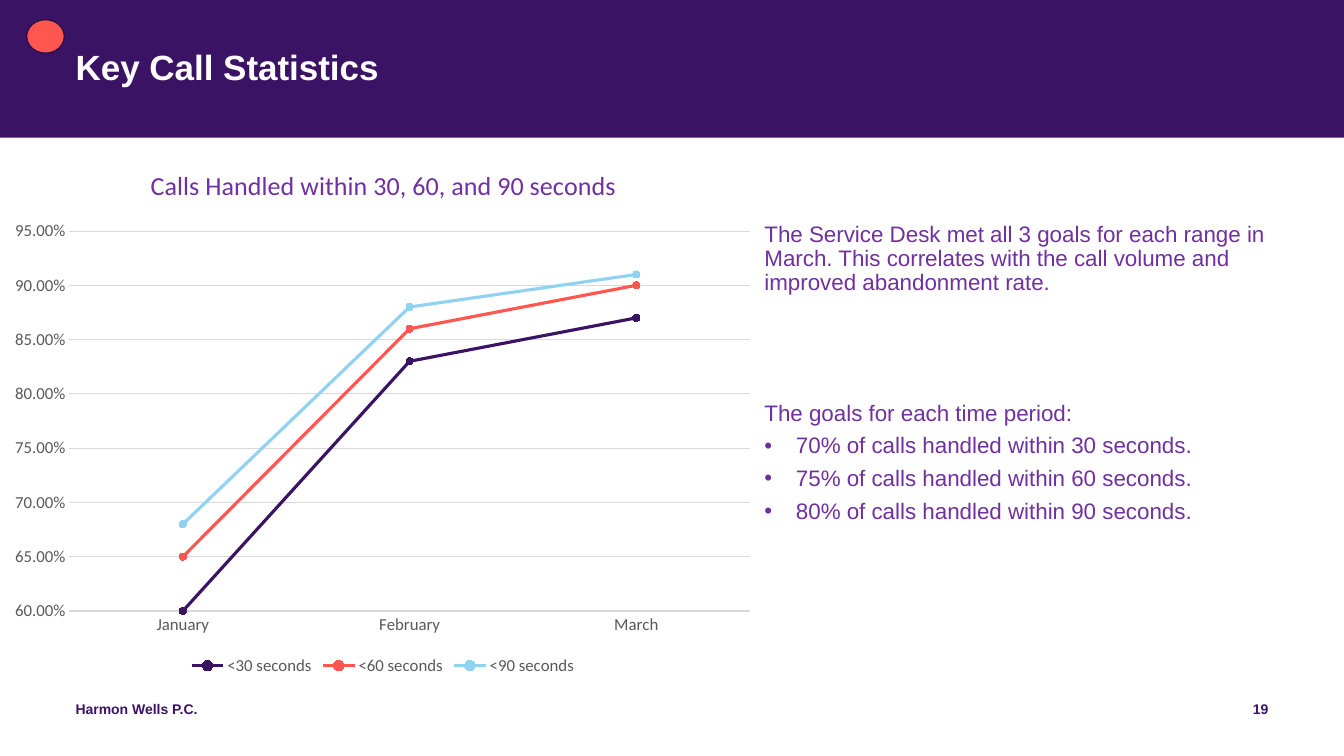
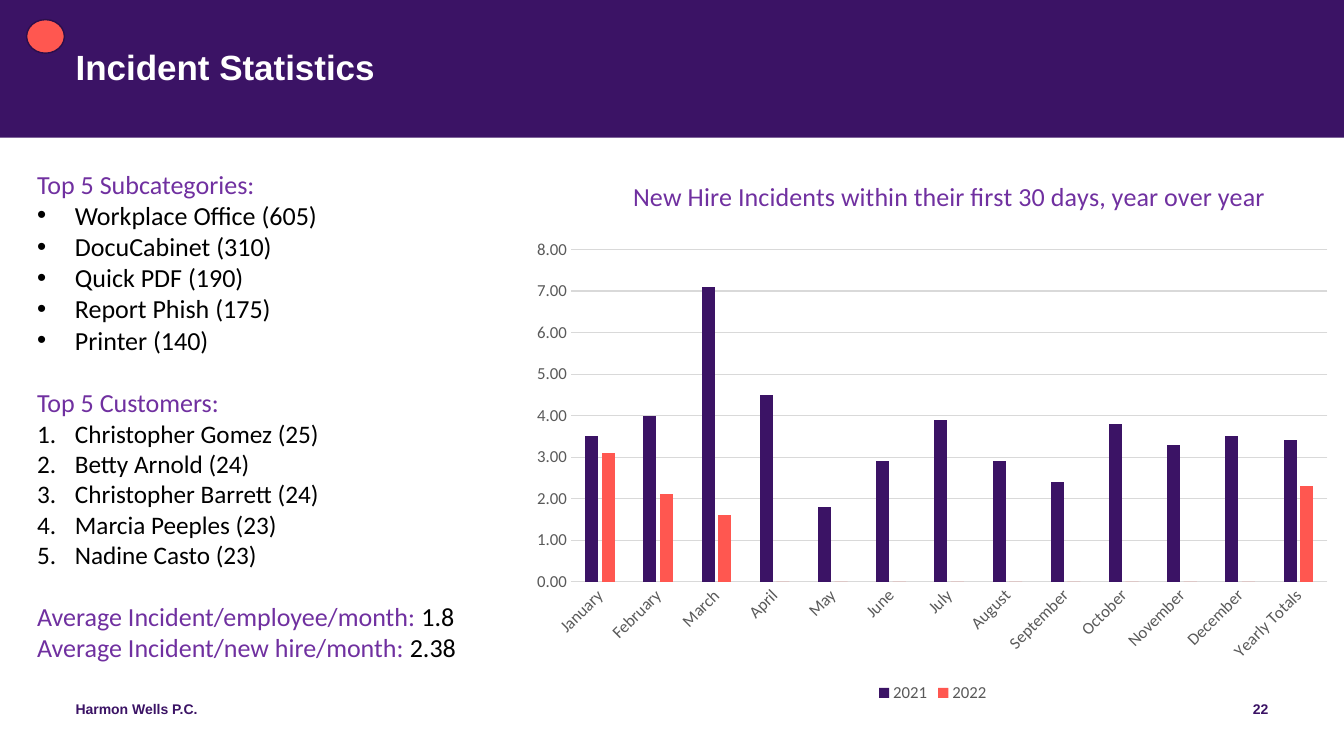
from pptx import Presentation
from pptx.chart.data import CategoryChartData
from pptx.dml.color import RGBColor
from pptx.enum.chart import (XL_CHART_TYPE, XL_LEGEND_POSITION, XL_MARKER_STYLE,
                             XL_TICK_MARK)
from pptx.enum.shapes import MSO_SHAPE
from pptx.enum.text import MSO_ANCHOR, MSO_AUTO_SIZE, PP_ALIGN
from pptx.oxml.ns import qn
from pptx.util import Pt
from lxml.etree import SubElement

# Shared colours
PURPLE = RGBColor(0x3B, 0x13, 0x65)
DARK_PURPLE = RGBColor(0x2C, 0x0E, 0x4B)
VIOLET = RGBColor(0x70, 0x30, 0xA0)
CORAL = RGBColor(0xFF, 0x57, 0x50)
SKY = RGBColor(0x91, 0xD2, 0xF2)
GREY = RGBColor(0x59, 0x59, 0x59)
GRID = RGBColor(0xD9, 0xD9, 0xD9)
WHITE = RGBColor(0xFF, 0xFF, 0xFF)
BLACK = RGBColor(0, 0, 0)

# Shared formats and places, in points
WIDTH, HEIGHT = 960, 540
MARGIN = 54
FIRM = "Harmon Wells P.C."
TITLE_FONT = {"name": "Arial", "size": Pt(25), "bold": True, "color": WHITE}
FOOTER_FONT = {"name": "Arial", "size": Pt(10), "bold": True, "color": PURPLE}
AXIS_FONT = {"name": "Calibri", "size": Pt(12), "bold": False, "color": GREY}
CHART_TITLE_FONT = {"name": "Calibri", "size": Pt(18.6), "bold": False, "color": VIOLET}
BARE_FRAME = {"margin_left": 0, "margin_top": 0, "margin_right": 0, "margin_bottom": 0,
              "word_wrap": True, "auto_size": MSO_AUTO_SIZE.NONE,
              "vertical_anchor": MSO_ANCHOR.TOP}


def apply(target, formats):
    for name, value in formats.items():
        if name == "color":
            target.color.rgb = value
        else:
            setattr(target, name, value)


def in_points(box):
    return [Pt(length) for length in box]


def move(shape, box):
    apply(shape, dict(zip(("left", "top", "width", "height"), in_points(box))))


def add_span(para, text, font):
    span = para.add_run()
    span.text = text
    apply(span.font, font)


def add_solid(page, preset, box, fill):
    shape = page.shapes.add_shape(preset, *in_points(box))
    shape.shadow.inherit = False
    shape.fill.solid()
    shape.fill.fore_color.rgb = fill
    shape.line.fill.background()
    return shape


def add_header(page, box, title):
    """Place the band behind everything, with the title and dot on it."""
    left, top, width, height = box
    band = add_solid(page, MSO_SHAPE.RECTANGLE, box, PURPLE)
    page.shapes.element.insert(2, band.element)
    heading = page.shapes.title
    move(heading, (left + MARGIN, top + 36, width - 2 * MARGIN, height - 40))
    apply(heading.text_frame, BARE_FRAME)
    para = heading.text_frame.paragraphs[0]
    apply(para, {"alignment": PP_ALIGN.LEFT, "line_spacing": 0.9})
    add_span(para, title, TITLE_FONT)
    dot = add_solid(page, MSO_SHAPE.OVAL, (left + 19, top + 14, 27, 24), CORAL)
    apply(dot.line, {"color": DARK_PURPLE, "width": Pt(1)})


def add_footer(page, box, number):
    left, top, width, height = box
    parts = ((FIRM, left, 324, PP_ALIGN.LEFT),
             (number, left + width - 216, 216, PP_ALIGN.RIGHT))
    for text, part_left, part_width, align in parts:
        label = page.shapes.add_textbox(*in_points((part_left, top, part_width, height)))
        apply(label.text_frame, BARE_FRAME)
        para = label.text_frame.paragraphs[0]
        para.alignment = align
        add_span(para, text, FOOTER_FONT)


def add_page(deck, title, number):
    """Start a slide with its header and footer."""
    page = deck.slides.add_slide(deck.slide_layouts[1])
    add_header(page, (0, 0, WIDTH, 98.4), title)
    add_footer(page, (MARGIN, 500.5, WIDTH - 2 * MARGIN, 29), number)
    return page


def set_marker(para, kind, indent):
    """Give the paragraph a bullet, a number or neither."""
    properties = para._p.get_or_add_pPr()
    indent = 0 if kind == "plain" else Pt(indent)
    properties.set("marL", str(indent))
    properties.set("indent", str(-indent))
    if kind == "bullet":
        SubElement(properties, qn("a:buFont"), typeface="Arial")
        SubElement(properties, qn("a:buChar"), char="•")
    elif kind == "number":
        SubElement(properties, qn("a:buAutoNum"), type="arabicPeriod")
    else:
        SubElement(properties, qn("a:buNone"))


def add_list(page, box, items, font, spacing, indent):
    """Fill the body with (kind, gap before, [(text, font changes)]) items."""
    body = page.placeholders[1]
    move(body, box)
    frame = body.text_frame
    apply(frame, BARE_FRAME)
    for index, (kind, gap, spans) in enumerate(items):
        para = frame.add_paragraph() if index else frame.paragraphs[0]
        apply(para, {"alignment": PP_ALIGN.LEFT, "space_before": Pt(gap), **spacing})
        set_marker(para, kind, indent)
        for text, changes in spans:
            add_span(para, text, {**font, **changes})


def set_layout(parent, index, target=None, **fractions):
    """Fix a chart part at fractions of the chart area."""
    for old in parent.findall(qn("c:layout")):
        parent.remove(old)
    layout = SubElement(parent, qn("c:layout"))
    parent.insert(index, layout)
    manual = SubElement(layout, qn("c:manualLayout"))
    if target:
        SubElement(manual, qn("c:layoutTarget"), val=target)
    for side in ("x", "y"):
        SubElement(manual, qn(f"c:{side}Mode"), val="edge")
    for name, value in fractions.items():
        SubElement(manual, qn(f"c:{name}"), val=str(value))


def add_statistics_chart(page, box, kind, title, categories, series, scale,
                         number_format, title_place, plot_place):
    data = CategoryChartData(number_format=number_format)
    data.categories = categories
    for name, values in series:
        data.add_series(name, values)
    chart = page.shapes.add_chart(kind, *in_points(box), data).chart
    apply(chart.font, AXIS_FONT)

    # Title and plot area
    frame = chart.chart_title.text_frame
    add_span(frame.paragraphs[0], title, CHART_TITLE_FONT)
    set_layout(chart.chart_title.element, 1, **title_place)
    set_layout(chart.element.xpath("c:chart/c:plotArea")[0], 0, "inner", **plot_place)

    # Legend
    chart.has_legend = True
    apply(chart.legend, {"position": XL_LEGEND_POSITION.BOTTOM, "include_in_layout": False})
    apply(chart.legend.font, AXIS_FONT)

    # Axes
    for axis in (chart.category_axis, chart.value_axis):
        apply(axis, {"major_tick_mark": XL_TICK_MARK.NONE,
                     "minor_tick_mark": XL_TICK_MARK.NONE})
        apply(axis.tick_labels.font, AXIS_FONT)
    thin = {"color": GRID, "width": Pt(0.75)}
    apply(chart.category_axis.format.line, thin)
    axis = chart.value_axis
    axis.format.line.fill.background()
    apply(axis, {"has_major_gridlines": True, **scale})
    apply(axis.major_gridlines.format.line, thin)
    apply(axis.tick_labels, {"number_format": number_format,
                             "number_format_is_linked": False})
    chart.plots[0].vary_by_categories = False
    return chart


def style_lines(chart):
    for series, color in zip(chart.plots[0].series, (PURPLE, CORAL, SKY)):
        series.smooth = False
        apply(series.format.line, {"color": color, "width": Pt(2.25)})
        apply(series.marker, {"style": XL_MARKER_STYLE.CIRCLE, "size": 5})
        series.marker.format.fill.solid()
        series.marker.format.fill.fore_color.rgb = color
        series.marker.format.line.color.rgb = color


def style_columns(chart):
    apply(chart.plots[0], {"gap_width": 219, "overlap": -27})
    for series, color in zip(chart.plots[0].series, (PURPLE, CORAL)):
        series.format.fill.solid()
        series.format.fill.fore_color.rgb = color
    # Slanted month names
    label_body = chart.category_axis._element.xpath("c:txPr/a:bodyPr")[0]
    label_body.set("rot", "-2700000")
    label_body.set("vert", "horz")


def build_call_page(deck):
    page = add_page(deck, "Key Call Statistics", "19")
    goals = [("bullet", 0, [(f"{share}% of calls handled within {limit} seconds.", {})])
             for share, limit in ((70, 30), (75, 60), (80, 90))]
    items = [
        ("plain", 0, [("The Service Desk met all 3 goals for each range in March. This "
                       "correlates with the call volume and improved abandonment rate.", {})]),
        ("plain", 70, [("The goals for each time period:", {})]),
        *goals,
    ]
    add_list(page, (546, 159.4, 360, 326), items,
             {"name": "Arial", "size": Pt(16), "color": VIOLET},
             {"line_spacing": 0.9, "space_after": Pt(6)}, 22.5)
    chart = add_statistics_chart(
        page, (0.5, 108.5, 546, 377), XL_CHART_TYPE.LINE_MARKERS,
        "Calls Handled within 30, 60, and 90 seconds",
        ("January", "February", "March"),
        (("<30 seconds", (0.6, 0.83, 0.87)),
         ("<60 seconds", (0.65, 0.86, 0.9)),
         ("<90 seconds", (0.68, 0.88, 0.91))),
        {"minimum_scale": 0.6, "maximum_scale": 0.95, "major_unit": 0.05}, "0.00%",
        {"x": 0.19, "y": 0.02}, {"x": 0.09, "y": 0.15, "w": 0.89, "h": 0.72})
    style_lines(chart)


def build_incident_page(deck):
    page = add_page(deck, "Incident Statistics", "22")
    heading, entry = {"color": VIOLET}, {"color": BLACK}
    subcategories = (("Workplace Office", 605), ("DocuCabinet", 310), ("Quick PDF", 190),
                     ("Report Phish", 175), ("Printer", 140))
    customers = (("Christopher Gomez", 25), ("Betty Arnold", 24),
                 ("Christopher Barrett", 24), ("Marcia Peeples", 23), ("Nadine Casto", 23))
    averages = (("employee", "1.8", 22), ("new hire", "2.38", 0))
    items = [
        ("plain", 0, [("Top 5 Subcategories:", heading)]),
        *[("bullet", 0, [(f"{name} ({count})", entry)]) for name, count in subcategories],
        ("plain", 22.5, [("Top 5 Customers:", heading)]),
        *[("number", 0, [(f"{name} ({count})", {**entry, "size": Pt(18)})])
          for name, count in customers],
        *[("plain", gap, [(f"Average Incident/{group}/month: ", heading), (value, entry)])
          for group, value, gap in averages],
    ]
    add_list(page, (26.5, 120, 339, 357), items, {"name": "Calibri", "size": Pt(18.6)},
             {"line_spacing": 1.0, "space_after": Pt(0)}, 27)
    chart = add_statistics_chart(
        page, (372.5, 116, 587.5, 389), XL_CHART_TYPE.COLUMN_CLUSTERED,
        "New Hire Incidents within their first 30 days, year over year",
        ("January", "February", "March", "April", "May", "June", "July", "August",
         "September", "October", "November", "December", "Yearly Totals"),
        (("2021", (3.5, 4, 7.1, 4.5, 1.8, 2.9, 3.9, 2.9, 2.4, 3.8, 3.3, 3.5, 3.4)),
         ("2022", (3.1, 2.1, 1.6, *[0] * 9, 2.3))),
        {"minimum_scale": 0, "maximum_scale": 8, "major_unit": 1}, "0.00",
        {"x": 0.13, "y": 0.02}, {"x": 0.06, "y": 0.16, "w": 0.92, "h": 0.61})
    style_columns(chart)


def main():
    deck = Presentation()
    apply(deck, {"slide_width": Pt(WIDTH), "slide_height": Pt(HEIGHT)})
    build_call_page(deck)
    build_incident_page(deck)
    deck.save("out.pptx")


if __name__ == "__main__":
    main()
